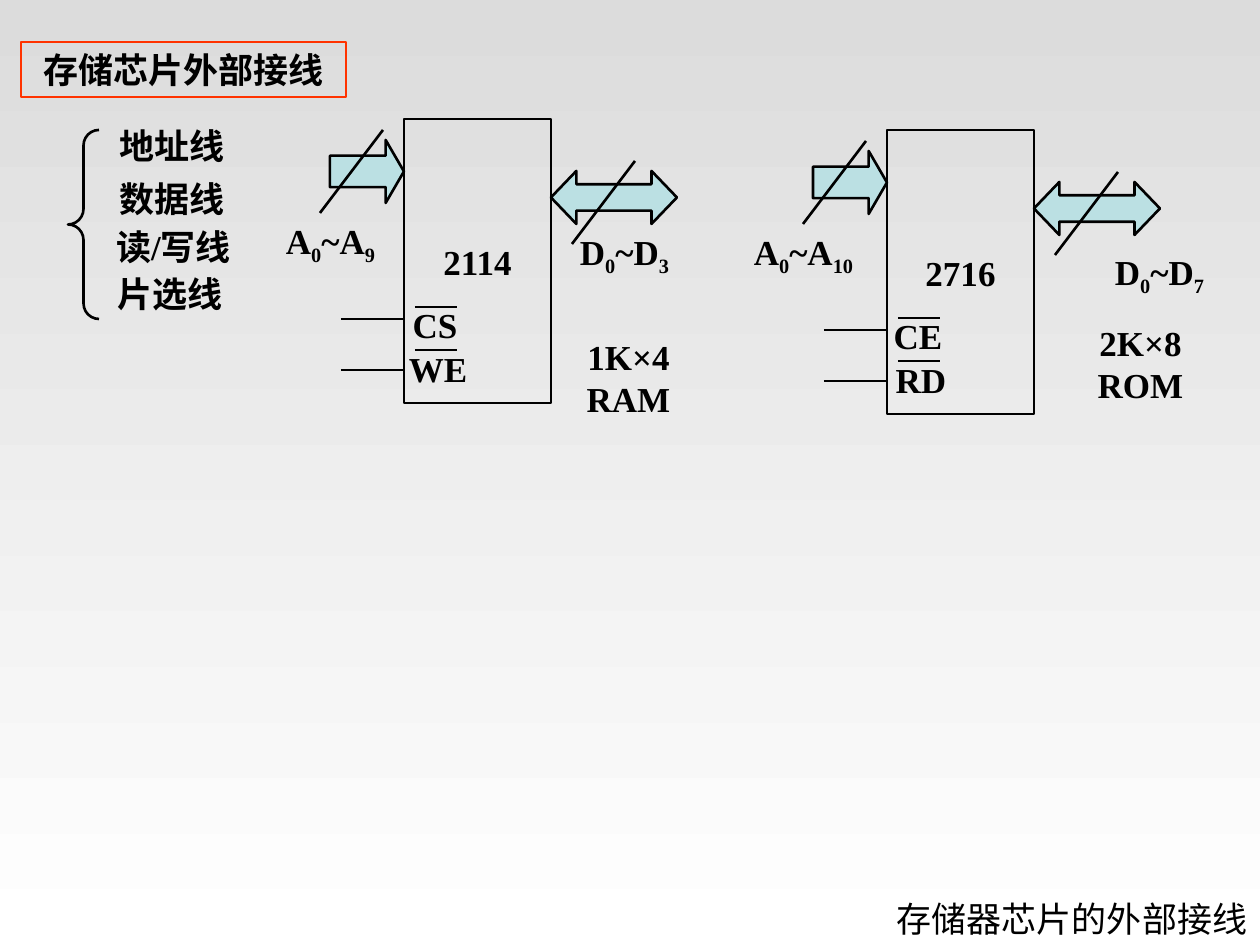
from dataclasses import dataclass

import pptx
import pptx.dml.color
import pptx.enum.shapes
import pptx.enum.text
import pptx.oxml
import pptx.oxml.ns
import pptx.util

SHAPE = pptx.enum.shapes.MSO_SHAPE
ALIGN = pptx.enum.text.PP_ALIGN
ANCHOR = pptx.enum.text.MSO_ANCHOR
EMU_PER_PX = 914400 / 126


@dataclass(frozen=True)
class Theme:
    ink: str = "000000"
    accent: str = "FF3300"
    bus: str = "BBE0E3"
    background: tuple = ("DCDCDC", "FFFFFF")
    title_font: str = "Arial"
    body_font: str = "Times New Roman"
    text_size: float = 20
    line_width: float = 1.5
    subscript: str = "-25000"


@dataclass(frozen=True)
class Chip:
    name: str
    origin: tuple
    address: str
    address_at: tuple
    data: str
    data_at: tuple
    controls: tuple
    capacity: str
    capacity_at: tuple


THEME = Theme()
LINE_KINDS = ("地址线", "数据线", "读/写线", "片选线")
LINE_KIND_CORNERS = ((78, 118), (78, 171), (79, 219), (76, 266))
# Label corners are measured from the top left corner of the chip body.
CHIPS = (
    Chip("2114", (404, 119), "A|0|~A|9", (-147, 94), "D|0|~D|3", (147, 105),
         ("CS", "WE"), "1K×4\nRAM", (125, 210)),
    Chip("2716", (887, 130), "A|0|~A|10", (-157, 94), "D|0|~D|7", (199, 114),
         ("CE", "RD"), "2K×8\nROM", (154, 185)),
)


def px(value):
    return pptx.util.Emu(round(value * EMU_PER_PX))


def color(code):
    return pptx.dml.color.RGBColor.from_string(code)


def write_text(shape, text, font=THEME.body_font, bold=True, align=ALIGN.CENTER,
               anchor=ANCHOR.TOP, wrap=True):
    """Write text; parts between | marks alternate between normal and subscript."""
    frame = shape.text_frame
    frame.word_wrap = wrap
    frame.auto_size = pptx.enum.text.MSO_AUTO_SIZE.NONE
    frame.vertical_anchor = anchor
    paragraph = frame.paragraphs[0]
    paragraph.alignment = align
    for number, line in enumerate(text.split("\n")):
        if number:
            paragraph.add_line_break()
        for index, part in enumerate(line.split("|")):
            run = paragraph.add_run()
            run.text = part
            run.font.name = font
            run.font.size = pptx.util.Pt(THEME.text_size)
            run.font.bold = bold
            run.font.color.rgb = color(THEME.ink)
            if index % 2:
                run._r.get_or_add_rPr().set("baseline", THEME.subscript)


def add_label(shapes, x, y, width, height, text):
    box = shapes.add_textbox(px(x), px(y), px(width), px(height))
    write_text(box, text)


def add_outlined(shapes, kind, x, y, width, height, fill=None, line=THEME.ink,
                 adjustments=()):
    shape = shapes.add_shape(kind, px(x), px(y), px(width), px(height))
    shape.shadow.inherit = False
    if fill:
        shape.fill.solid()
        shape.fill.fore_color.rgb = color(fill)
    else:
        shape.fill.background()
    shape.line.color.rgb = color(line)
    shape.line.width = pptx.util.Pt(THEME.line_width)
    for index, value in enumerate(adjustments):
        shape.adjustments[index] = value
    return shape


def add_line(shapes, x1, y1, x2, y2):
    line = shapes.add_connector(pptx.enum.shapes.MSO_CONNECTOR.STRAIGHT,
                                px(x1), px(y1), px(x2), px(y2))
    line.line.color.rgb = color(THEME.ink)
    line.line.width = pptx.util.Pt(THEME.line_width)
    properties = line._element.spPr
    properties.append(pptx.oxml.parse_xml(
        "<a:effectLst %s/>" % pptx.oxml.ns.nsdecls("a")))


def add_chip(slide, chip):
    shapes = slide.shapes.add_group_shape().shapes
    x, y = chip.origin
    body = add_outlined(shapes, SHAPE.RECTANGLE, x, y, 147, 284)
    write_text(body, chip.name, anchor=ANCHOR.MIDDLE, wrap=False)

    add_outlined(shapes, SHAPE.RIGHT_ARROW, x - 74, y + 21, 74, 63,
                 fill=THEME.bus, adjustments=(0.5, 0.29))
    add_outlined(shapes, SHAPE.LEFT_RIGHT_ARROW, x + 147, y + 52, 126, 53,
                 fill=THEME.bus, adjustments=(0.5, 0.48))
    for slash_x, slash_y in ((x - 84, y + 11), (x + 168, y + 42)):
        add_line(shapes, slash_x + 63, slash_y, slash_x, slash_y + 83)

    for text, (dx, dy) in ((chip.address, chip.address_at),
                           (chip.data, chip.data_at)):
        add_label(shapes, x + dx, y + dy, 147, 60, text)

    control_places = ((-11, 178, 200, 188), (-8, 222, 251, 231))
    for text, (dx, label_y, pin_y, bar_y) in zip(chip.controls, control_places):
        add_label(shapes, x + dx, y + label_y, 84, 55, text)
        add_line(shapes, x - 63, y + pin_y, x, y + pin_y)
        add_line(shapes, x + 11, y + bar_y, x + 53, y + bar_y)

    dx, dy = chip.capacity_at
    add_label(slide.shapes, x + dx, y + dy, 199, 97, chip.capacity)


def set_background(slide):
    fill = slide.background.fill
    fill.gradient()
    fill.gradient_angle = 270
    for stop, code in zip(fill.gradient_stops, THEME.background):
        stop.color.rgb = color(code)


def place_title(slide, text):
    title = slide.shapes.title
    title.left, title.top, title.width, title.height = map(px, (848, 892, 412, 53))
    write_text(title, text, font=THEME.title_font, bold=False,
               align=ALIGN.RIGHT, anchor=ANCHOR.MIDDLE)


def main():
    presentation = pptx.Presentation()
    presentation.slide_width, presentation.slide_height = px(1260), px(945)
    slide = presentation.slides.add_slide(presentation.slide_layouts[5])
    set_background(slide)
    place_title(slide, "存储器芯片的外部接线")

    heading = add_outlined(slide.shapes, SHAPE.RECTANGLE, 21, 42, 325, 55,
                           line=THEME.accent)
    write_text(heading, "存储芯片外部接线")
    for text, (x, y) in zip(LINE_KINDS, LINE_KIND_CORNERS):
        add_label(slide.shapes, x, y, 189, 55, text)
    add_outlined(slide.shapes, SHAPE.LEFT_BRACE, 68, 130, 31, 189,
                 adjustments=(0.5, 0.5))

    for chip in CHIPS:
        add_chip(slide, chip)
    presentation.save("out.pptx")


if __name__ == "__main__":
    main()
